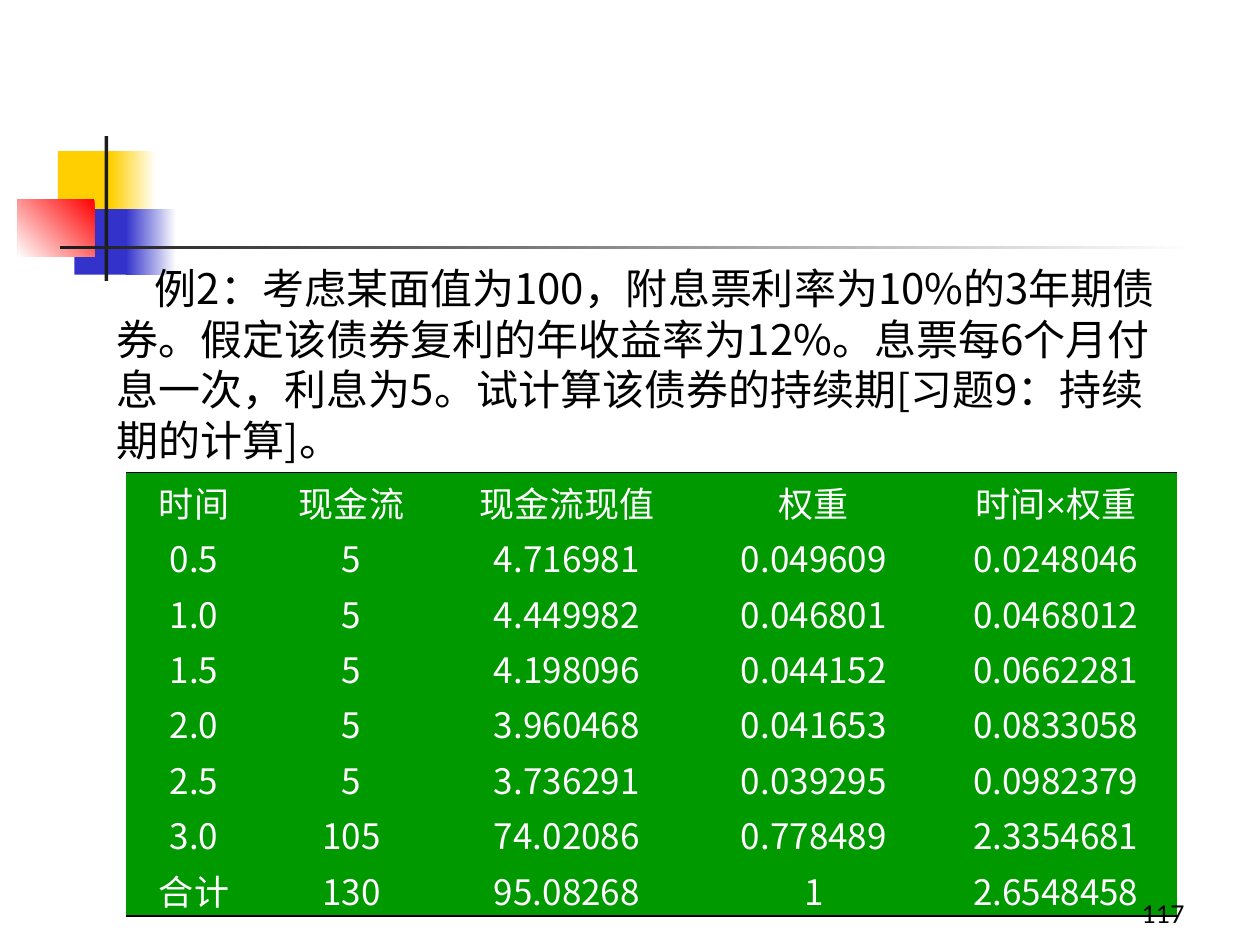
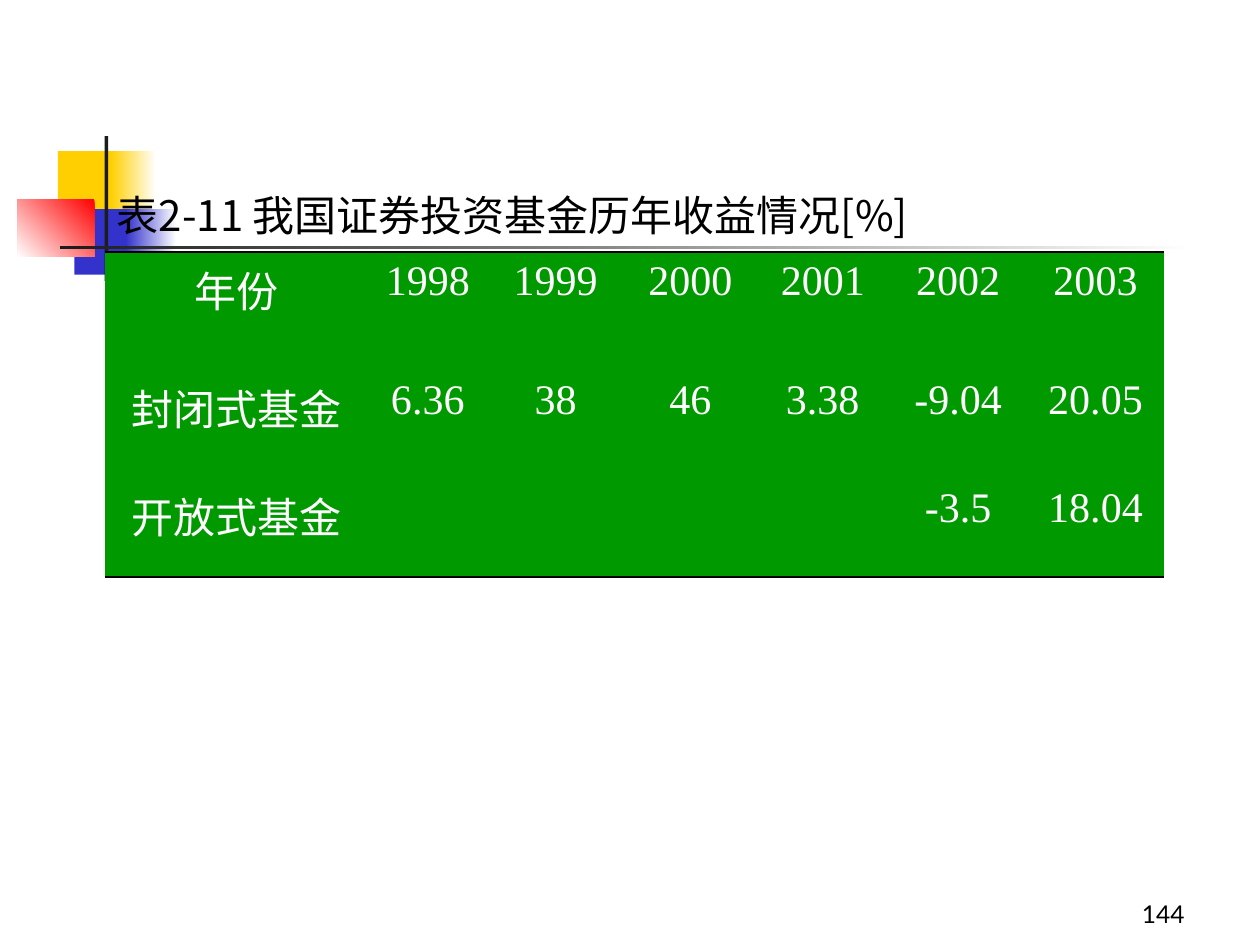
from lxml import etree
from pptx import Presentation
from pptx.dml.color import RGBColor
from pptx.enum.shapes import MSO_SHAPE
from pptx.enum.text import MSO_ANCHOR, PP_ALIGN
from pptx.oxml.ns import qn
from pptx.util import Inches, Pt

RECTANGLE = MSO_SHAPE.RECTANGLE
LEFT, CENTER, RIGHT = PP_ALIGN.LEFT, PP_ALIGN.CENTER, PP_ALIGN.RIGHT
TOP, BOTTOM = MSO_ANCHOR.TOP, MSO_ANCHOR.BOTTOM

BLACK, WHITE, GREEN = "000000", "FFFFFF", "009900"
YELLOW, BLUE, RED, DARK = "FFCF01", "3333CC", "FF0000", "1C1C1C"
CJK, LATIN, SERIF, SYMBOL = "Noto Sans CJK SC", "Lato", "Times New Roman", "Arial"
RULE_WIDTH = 1.08

# Box, colours from start to end, clockwise gradient angle
EMBLEM = [
    ((0.46, 1.2, 0.48, 0.52), [YELLOW], 0),
    ((0.88, 1.2, 0.36, 0.52), [WHITE, YELLOW], 180),
    ((0.59, 1.66, 0.46, 0.52), [BLUE], 0),
    ((1, 1.66, 0.4, 0.52), [WHITE, BLUE], 180),
    ((0.14, 1.58, 0.61, 0.46), [RED, WHITE], 135),
    ((0.83, 1.08, 0.03, 1.15), [DARK], 0),
    ((0.48, 1.95, 9, 0.03), [WHITE, DARK], 180),
]

CASH_FLOWS = [
    ["时间", "现金流", "现金流现值", "权重", "时间×权重"],
    ["0.5", "5", "4.716981", "0.049609", "0.0248046"],
    ["1.0", "5", "4.449982", "0.046801", "0.0468012"],
    ["1.5", "5", "4.198096", "0.044152", "0.0662281"],
    ["2.0", "5", "3.960468", "0.041653", "0.0833058"],
    ["2.5", "5", "3.736291", "0.039295", "0.0982379"],
    ["3.0", "105", "74.02086", "0.778489", "2.3354681"],
    ["合计", "130", "95.08268", "1", "2.6548458"],
]
FUND_RETURNS = [
    ["年份", "1998", "1999", "2000", "2001", "2002", "2003"],
    ["封闭式基金", "6.36", "38", "46", "3.38", "-9.04", "20.05"],
    ["开放式基金", "", "", "", "", "-3.5", "18.04"],
]


def color(value):
    return RGBColor.from_string(value)


def add_span(para, text, size, font, tint):
    span = para.add_run()
    span.text = text
    span.font.size = Pt(size)
    span.font.name = font
    span.font.color.rgb = color(tint)
    east_asian = etree.SubElement(span.font._element, qn("a:ea"))
    east_asian.set("typeface", CJK)


def add_text(page, box, text, size, font, align=LEFT, anchor=TOP):
    frame = page.shapes.add_textbox(*map(Inches, box)).text_frame
    frame.word_wrap = True
    frame.vertical_anchor = anchor
    para = frame.paragraphs[0]
    para.alignment = align
    add_span(para, text, size, font, BLACK)
    return frame


def add_statement(page, box, text, indent=0):
    frame = add_text(page, box, text, 24, CJK)
    frame.margin_top = Inches(0.08)
    para = frame.paragraphs[0]
    para.line_spacing = Pt(29)
    if indent:
        para._p.get_or_add_pPr().set("indent", str(Inches(indent)))


def add_emblem(page):
    for box, tints, angle in EMBLEM:
        shape = page.shapes.add_shape(RECTANGLE, *map(Inches, box))
        shape.shadow.inherit = False
        shape.line.fill.background()
        if len(tints) == 1:
            shape.fill.solid()
            shape.fill.fore_color.rgb = color(tints[0])
            continue
        shape.fill.gradient()
        shape.fill.gradient_angle = 360 - angle
        for position, (stop, tint) in enumerate(zip(shape.fill.gradient_stops, tints)):
            stop.position = position
            stop.color.rgb = color(tint)


def set_borders(cell, ruled_sides):
    properties = cell._tc.get_or_add_tcPr()
    for side in "LRTB":
        line = etree.SubElement(properties, qn(f"a:ln{side}"))
        if side in ruled_sides:
            line.set("w", str(Pt(RULE_WIDTH)))
            fill = etree.SubElement(line, qn("a:solidFill"))
            etree.SubElement(fill, qn("a:srgbClr")).set("val", BLACK)
        else:
            etree.SubElement(line, qn("a:noFill"))


def add_green_table(page, left, top, widths, heights, rows, size, font_for, tight=False):
    box = (left, top, sum(widths), sum(heights))
    table = page.shapes.add_table(len(rows), len(widths), *map(Inches, box)).table
    for column, width in zip(table.columns, widths):
        column.width = Inches(width)
    for row, height in zip(table.rows, heights):
        row.height = Inches(height)
    last = len(rows) - 1
    for r, values in enumerate(rows):
        for c, value in enumerate(values):
            cell = table.cell(r, c)
            set_borders(cell, "T" * (r == 0) + "B" * (r == last))
            cell.fill.solid()
            cell.fill.fore_color.rgb = color(GREEN)
            para = cell.text_frame.paragraphs[0]
            para.alignment = CENTER
            if tight:
                cell.margin_top, cell.margin_bottom = Inches(0.13), 0
                para.line_spacing = Pt(size * 1.1)
            # The multiplication sign is a span of its own
            for part in value.partition("×"):
                if part:
                    add_span(para, part, size, font_for(part), WHITE)


def add_page(deck, number):
    page = deck.slides.add_slide(deck.slide_layouts[6])
    add_emblem(page)
    return page, str(number)


def add_page_number(page, number):
    add_text(page, (7.42, 6.92, 2.08, 0.5), number, 14, LATIN, RIGHT, BOTTOM)


def duration_page(deck):
    page, number = add_page(deck, 117)
    add_statement(
        page, (0.83, 2, 8.67, 1.7),
        "例2：考虑某面值为100，附息票利率为10%的3年期债券。"
        "假定该债券复利的年收益率为12%。息票每6个月付息一次，利息为5。"
        "试计算该债券的持续期[习题9：持续期的计算]。", indent=0.3)
    add_green_table(
        page, 1, 3.75, [1.08, 1.42, 2, 1.92, 1.92], [0.44] * len(CASH_FLOWS),
        CASH_FLOWS, 20, lambda text: SYMBOL if text == "×" else CJK, tight=True)
    add_page_number(page, number)


def fund_page(deck):
    page, number = add_page(deck, 144)
    add_statement(page, (0.83, 1.42, 7.75, 0.5),
                  "表2-11 我国证券投资基金历年收益情况[%]")
    add_green_table(
        page, 0.83, 2, [2.1, 0.93, 1.1, 1.04, 1.06, 1.09, 1.09], [0.94, 0.86, 0.78],
        FUND_RETURNS, 24, lambda text: LATIN if text == "年份" else SERIF)
    add_page_number(page, number)


def main():
    deck = Presentation()
    deck.slide_width, deck.slide_height = Inches(10), Inches(7.5)
    duration_page(deck)
    fund_page(deck)
    deck.save("out.pptx")


if __name__ == "__main__":
    main()
